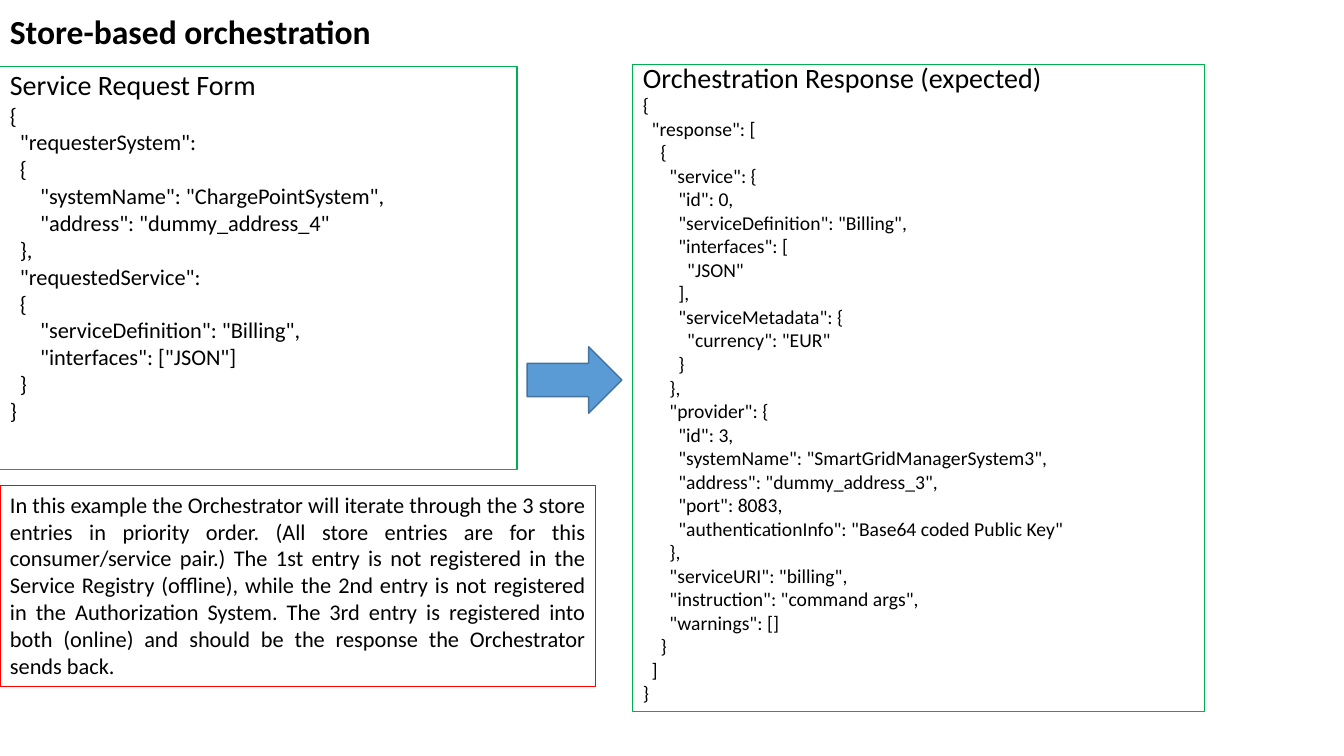
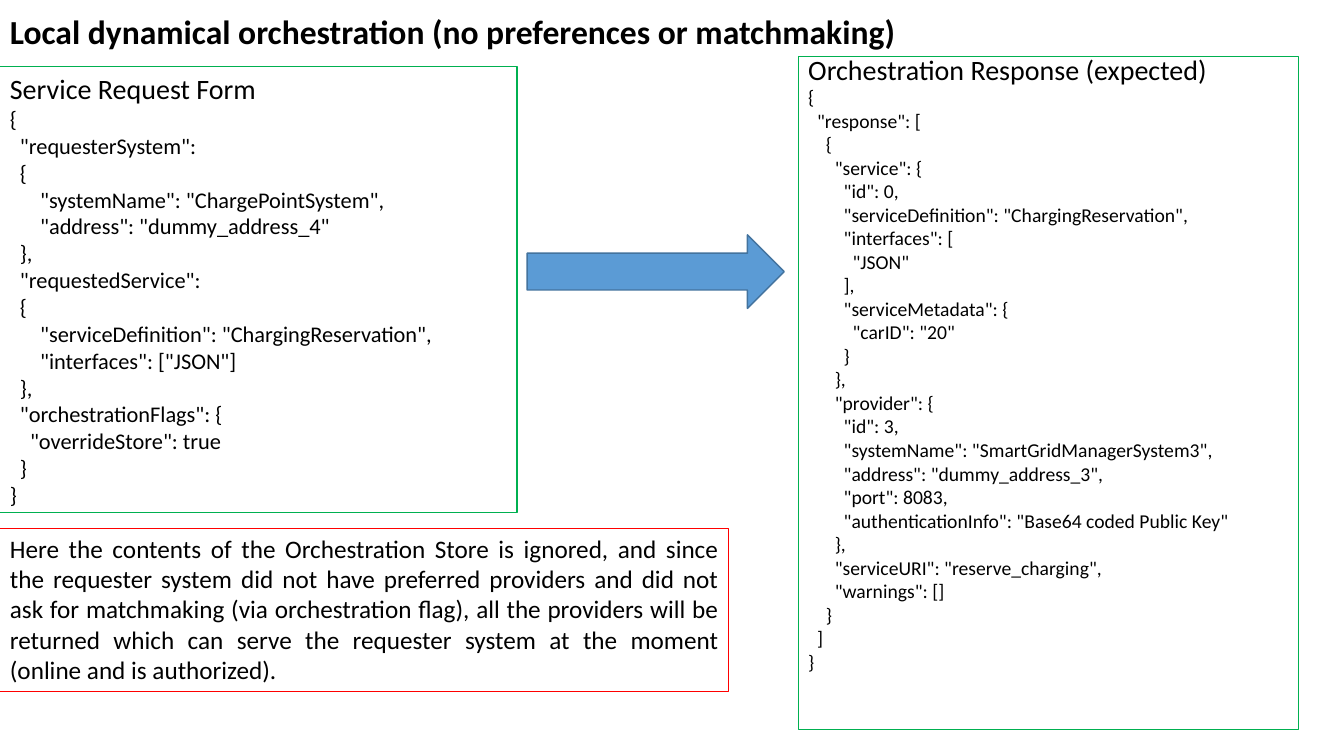
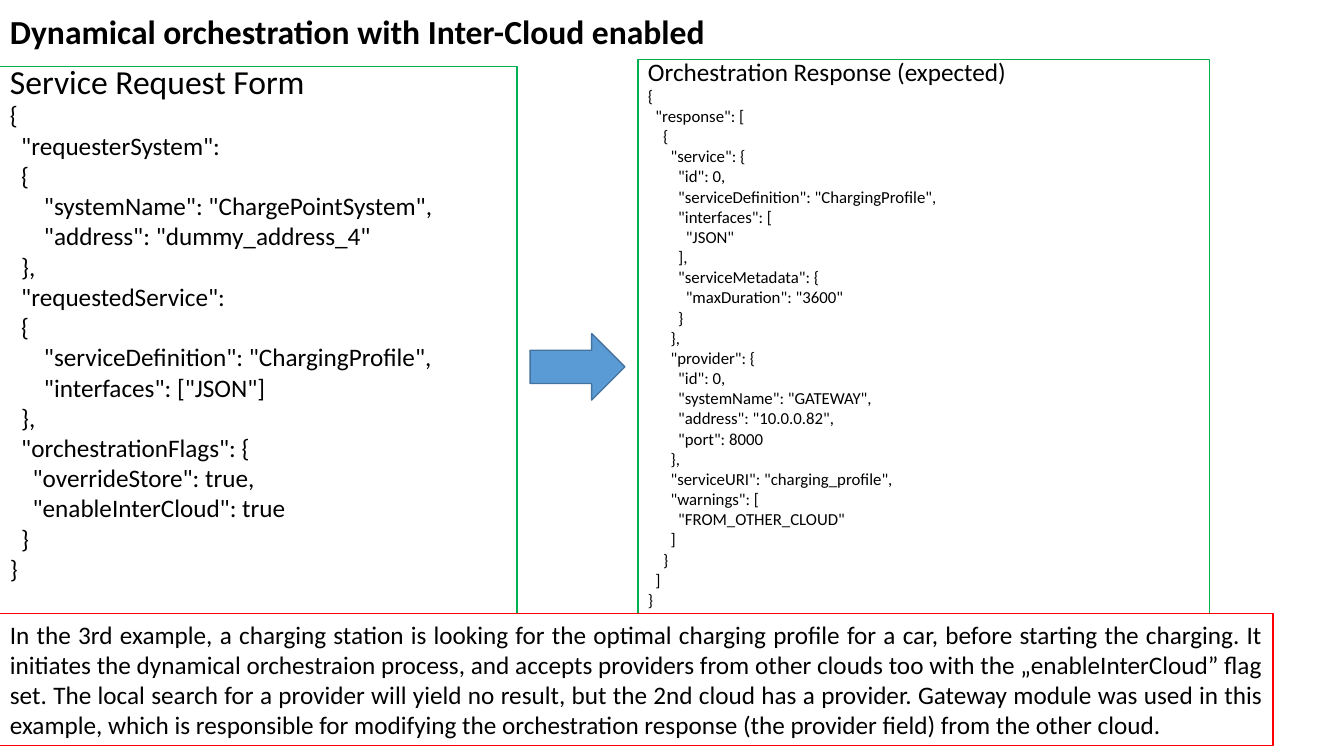
"""Three slides that pair a service request with its orchestration response."""
from pptx import Presentation
from pptx.dml.color import RGBColor
from pptx.enum.shapes import MSO_SHAPE
from pptx.enum.text import MSO_ANCHOR, MSO_AUTO_SIZE, PP_ALIGN
from pptx.util import Pt

ARROW = MSO_SHAPE.RIGHT_ARROW
MIDDLE = MSO_ANCHOR.MIDDLE
GROW = MSO_AUTO_SIZE.SHAPE_TO_FIT_TEXT
JUSTIFY = PP_ALIGN.JUSTIFY
FONT = "Calibri"
HEX = {"text": "000000", "code": "00B050", "note": "FF0000",
       "arrow": "5B9BD5", "edge": "43739E"}
HEAD = 47.52
ASK_WIDE = 369.36

ASK = """Service Request Form
{
  "requesterSystem":
  {
      "systemName": "ChargePointSystem",
      "address": "dummy_address_4"
  },
  "requestedService":
  {
      "serviceDefinition": "%s",
      "interfaces": ["JSON"]
  }%s
}"""
FLAGS = """,
  "orchestrationFlags": {
    "overrideStore": true%s
  }"""
REPLY = """Orchestration Response (expected)
{
  "response": [
    {
      "service": {
        "id": 0,
        "serviceDefinition": "%s",
        "interfaces": [
          "JSON"
        ],
        "serviceMetadata": {
          %s
        }
      },
      "provider": {
%s
      },
      "serviceURI": "%s",
%s
    }
  ]
}"""
GRID = """        "id": 3,
        "systemName": "SmartGridManagerSystem3",
        "address": "dummy_address_3",
        "port": 8083,
        "authenticationInfo": "Base64 coded Public Key\""""
GATE = """        "id": 0,
        "systemName": "GATEWAY",
        "address": "10.0.0.82",
        "port": 8000"""
QUIET = '      "warnings": []'
ORDER = '      "instruction": "command args",\n' + QUIET
CLOUD = """      "warnings": [
        "FROM_OTHER_CLOUD"
      ]"""

SLIDES = [
    {"title": "Store-based orchestration", "wide": 828,
     "ask": ("Billing", ""), "ask_high": 288,
     "ask_size": (20, 16), "ask_lead": 0.9,
     "reply": ("Billing", '"currency": "EUR"', GRID, "billing", ORDER),
     "reply_at": (452.16, 46.08, 408.24, 462.24), "reply_size": (20, 14),
     "arrow": (376.56, 247.68, 67.68, 47.52),
     "note": "In this example the Orchestrator will iterate through the 3 "
             "store entries in priority order. (All store entries are for "
             "this consumer/service pair.) The 1st entry is not registered "
             "in the Service Registry (offline), while the 2nd entry is not "
             "registered in the Authorization System. The 3rd entry is "
             "registered into both (online) and should be the response the "
             "Orchestrator sends back.",
     "note_at": (0, 347.04, 425.52, 143.28), "note_size": 16},
    {"title": "Local dynamical orchestration (no preferences or matchmaking)",
     "wide": 828,
     "ask": ("ChargingReservation", FLAGS % ""), "ask_high": 318.96,
     "ask_size": (20, 16), "ask_lead": 1.0,
     "reply": ("ChargingReservation", '"carID": "20"', GRID,
               "reserve_charging", QUIET),
     "reply_at": (570.24, 40.32, 357.12, 480.96), "reply_size": (20, 14),
     "arrow": (376.56, 167.76, 183.6, 52.56),
     "note": "Here the contents of the Orchestration Store is ignored, and "
             "since the requester system did not have preferred providers "
             "and did not ask for matchmaking (via orchestration flag), all "
             "the providers will be returned which can serve the requester "
             "system at the moment (online and is authorized).",
     "note_at": (0, 377.28, 520.56, 116.64), "note_size": 18},
    {"title": "Dynamical orchestration with Inter-Cloud enabled",
     "wide": 949.68,
     "ask": ("ChargingProfile", FLAGS % ',\n    "enableInterCloud": true'),
     "ask_high": 390.96, "ask_size": (24, 18), "ask_lead": 0.7,
     "reply": ("ChargingProfile", '"maxDuration": "3600"', GATE,
               "charging_profile", CLOUD),
     "reply_at": (455.76, 42.48, 408.24, 396), "reply_size": (18, 12),
     "arrow": (378.72, 238.32, 67.68, 47.52),
     "note": "In the 3rd example, a charging station is looking for the "
             "optimal charging profile for a car, before starting the "
             "charging. It initiates the dynamical orchestraion process, and "
             "accepts providers from other clouds too with the "
             "„enableInterCloud” flag set. The local search for a provider "
             "will yield no result, but the 2nd cloud has a provider. Gateway "
             "module was used in this example, which is responsible for "
             "modifying the orchestration response (the provider field) from "
             "the other cloud.",
     "note_at": (0, 438.48, 909.36, 94.32), "note_size": 18},
]


def color(name):
    return RGBColor.from_string(HEX[name])


def edge(shape, name, width):
    shape.line.color.rgb = color(name)
    shape.line.width = Pt(width)


def add_text(slide, at, text, sizes, bold=False):
    box = slide.shapes.add_textbox(*map(Pt, at))
    frame = box.text_frame
    frame.word_wrap = True
    frame.text = text
    for i, para in enumerate(frame.paragraphs):
        for run in para.runs:
            run.font.name = FONT
            run.font.size = Pt(sizes[min(i, 1)])
            run.font.bold = bold
            run.font.color.rgb = color("text")
    return box


def add_title(slide, text, wide):
    box = add_text(slide, (0, 0, wide, HEAD), text, (24,), True)
    box.text_frame.vertical_anchor = MIDDLE
    box.text_frame.paragraphs[0].line_spacing = 0.9


def add_code(slide, at, text, sizes, lead):
    box = add_text(slide, at, text, sizes)
    edge(box, "code", 0.75)
    first = box.text_frame.paragraphs[0]
    if lead < 1:
        first.line_spacing = lead
        first.space_before = Pt(10)


def add_arrow(slide, at):
    arrow = slide.shapes.add_shape(ARROW, *map(Pt, at))
    arrow.shadow.inherit = False
    arrow.fill.solid()
    arrow.fill.fore_color.rgb = color("arrow")
    edge(arrow, "edge", 1)


def add_note(slide, at, text, size):
    box = add_text(slide, at, text, (size,))
    edge(box, "note", 0.75)
    box.text_frame.auto_size = GROW
    box.text_frame.paragraphs[0].alignment = JUSTIFY


deck = Presentation()
deck.slide_width, deck.slide_height = Pt(960), Pt(540)
for item in SLIDES:
    slide = deck.slides.add_slide(deck.slide_layouts[6])
    add_title(slide, item["title"], item["wide"])
    add_code(slide, (0, HEAD, ASK_WIDE, item["ask_high"]),
             ASK % item["ask"], item["ask_size"], item["ask_lead"])
    add_code(slide, item["reply_at"], REPLY % item["reply"],
             item["reply_size"], 0.7)
    add_arrow(slide, item["arrow"])
    add_note(slide, item["note_at"], item["note"], item["note_size"])
deck.save("out.pptx")
